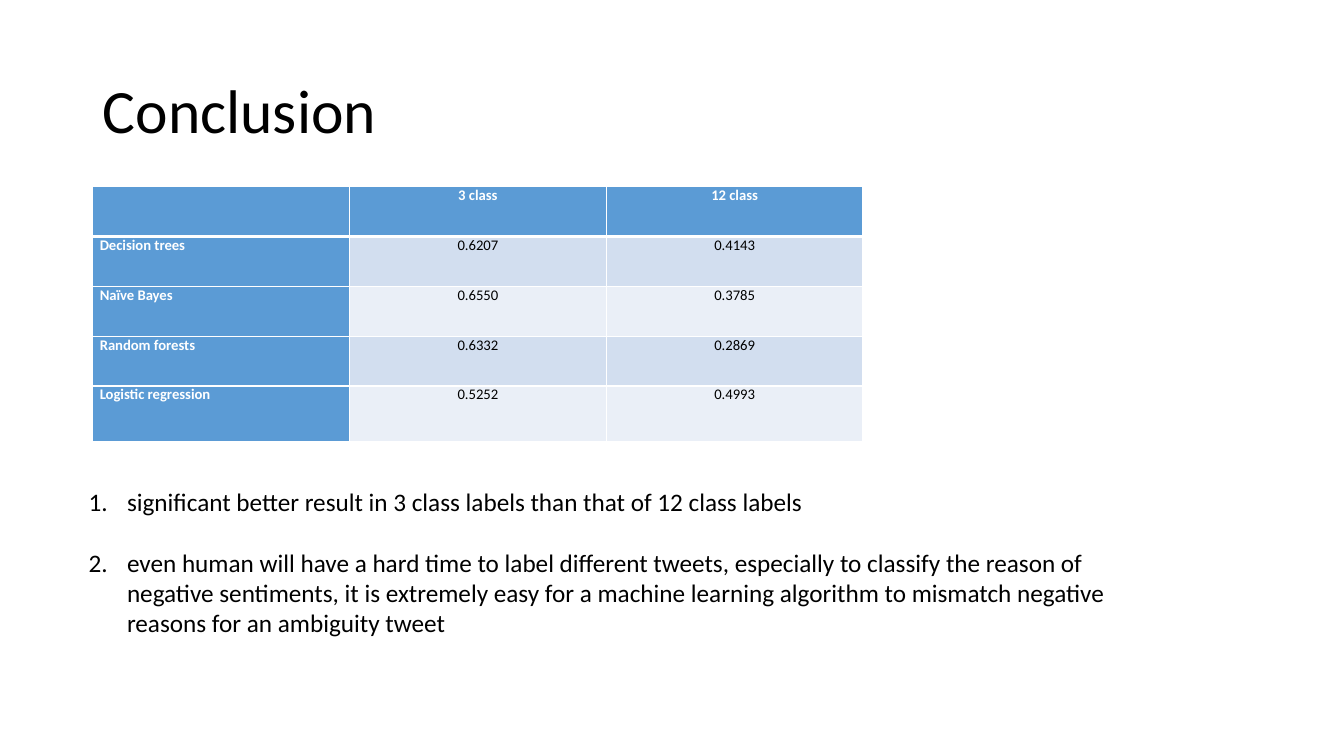
from lxml.etree import SubElement
from pptx import Presentation
from pptx.dml.color import RGBColor
from pptx.enum.text import MSO_ANCHOR as Anchor, MSO_AUTO_SIZE as AutoSize, PP_ALIGN as Align
from pptx.oxml.ns import qn
from pptx.util import Inches, Pt

COLORS = {"text": "000000", "white": "FFFFFF", "header": "5B9BD5",
          "band_dark": "D2DEEF", "band_light": "EAEFF7"}
FONT = "Calibri"

SCORES = [
    ("", "3 class", "12 class"),
    ("Decision trees", "0.6207", "0.4143"),
    ("Naïve Bayes", "0.6550", "0.3785"),
    ("Random forests", "0.6332", "0.2869"),
    ("Logistic regression", "0.5252", "0.4993"),
]
FINDINGS = [
    "significant better result in 3 class labels than that of 12 class labels",
    "even human will have a hard time to label different tweets, especially to "
    "classify the reason of negative sentiments, it is extremely easy for a machine "
    "learning algorithm to mismatch negative reasons for an ambiguity tweet",
]


def set_attributes(target, values):
    for name, value in values.items():
        setattr(target, name, value)


def place(shape, box):
    names = ("left", "top", "width", "height")
    set_attributes(shape, dict(zip(names, map(Inches, box))))


def write(paragraph, text, size, color="text", bold=False):
    run = paragraph.add_run()
    run.text = text
    set_attributes(run.font, {"name": FONT, "size": Pt(size), "bold": bold})
    run.font.color.rgb = RGBColor.from_string(COLORS[color])


def add_title(slide, box):
    title = slide.shapes.title
    place(title, box)
    set_attributes(title.text_frame, {"vertical_anchor": Anchor.MIDDLE, "word_wrap": True,
                                      "auto_size": AutoSize.NONE})
    heading = title.text_frame.paragraphs[0]
    set_attributes(heading, {"alignment": Align.LEFT, "line_spacing": 0.9})
    write(heading, "Conclusion", 44)


def add_border(cell, side, width):
    line = SubElement(cell._tc.get_or_add_tcPr(), qn(f"a:{side}"), w=str(Pt(width)))
    fill = SubElement(line, qn("a:solidFill"))
    SubElement(fill, qn("a:srgbClr"), val=COLORS["white"])


def format_cell(cell, row, column, text):
    is_header = row == 0 or column == 0
    set_attributes(cell, {"margin_left": Inches(0.07), "margin_right": Inches(0.07),
                          "margin_top": 0, "margin_bottom": 0})
    # The rule under the header row is thicker than the others
    for side in ("lnL", "lnR", "lnT", "lnB"):
        under_header = (row, side) in ((0, "lnB"), (1, "lnT"))
        add_border(cell, side, 3 if under_header else 1)
    band = "band_dark" if row % 2 else "band_light"
    cell.fill.solid()
    cell.fill.fore_color.rgb = RGBColor.from_string(COLORS["header" if is_header else band])
    label = cell.text_frame.paragraphs[0]
    label.alignment = Align.CENTER if column else Align.JUSTIFY
    if text:
        write(label, text, 10.5, "white" if is_header else "text", is_header)


def add_scores(slide, box):
    left, top, width, height = map(Inches, box)
    table = slide.shapes.add_table(len(SCORES), len(SCORES[0]), left, top, width, height).table
    for column in table.columns:
        column.width = width // len(SCORES[0])
    # The last row takes what the equal rows leave
    row_height = Inches(0.495)
    for row in table.rows:
        row.height = row_height
    table.rows[len(SCORES) - 1].height = height - row_height * (len(SCORES) - 1)
    for r, values in enumerate(SCORES):
        for c, text in enumerate(values):
            format_cell(table.cell(r, c), r, c, text)


def add_findings(slide, box):
    findings = slide.placeholders[1]
    place(findings, box)
    frame = findings.text_frame
    set_attributes(frame, {"vertical_anchor": Anchor.TOP, "word_wrap": True,
                           "auto_size": AutoSize.NONE})
    for index, text in enumerate(FINDINGS):
        finding = frame.add_paragraph() if index else frame.paragraphs[0]
        set_attributes(finding, {"alignment": Align.LEFT, "line_spacing": 1.0,
                                 "space_before": Pt(22 if index else 0), "space_after": Pt(0)})
        # Hanging number
        properties = finding._p.get_or_add_pPr()
        properties.set("marL", str(Inches(0.38)))
        properties.set("indent", str(-Inches(0.38)))
        SubElement(properties, qn("a:buFont"), typeface="+mj-lt")
        SubElement(properties, qn("a:buAutoNum"), type="arabicPeriod")
        write(finding, text, 18)


def main():
    deck = Presentation()
    set_attributes(deck, {"slide_width": Inches(13.33), "slide_height": Inches(7.5)})
    slide = deck.slides.add_slide(deck.slide_layouts[1])
    add_title(slide, (0.92, 0.4, 11.5, 1.45))
    add_scores(slide, (0.92, 1.85, 7.64, 2.53))
    add_findings(slide, (0.78, 4.77, 10.3, 1.62))
    deck.save("out.pptx")


if __name__ == "__main__":
    main()
